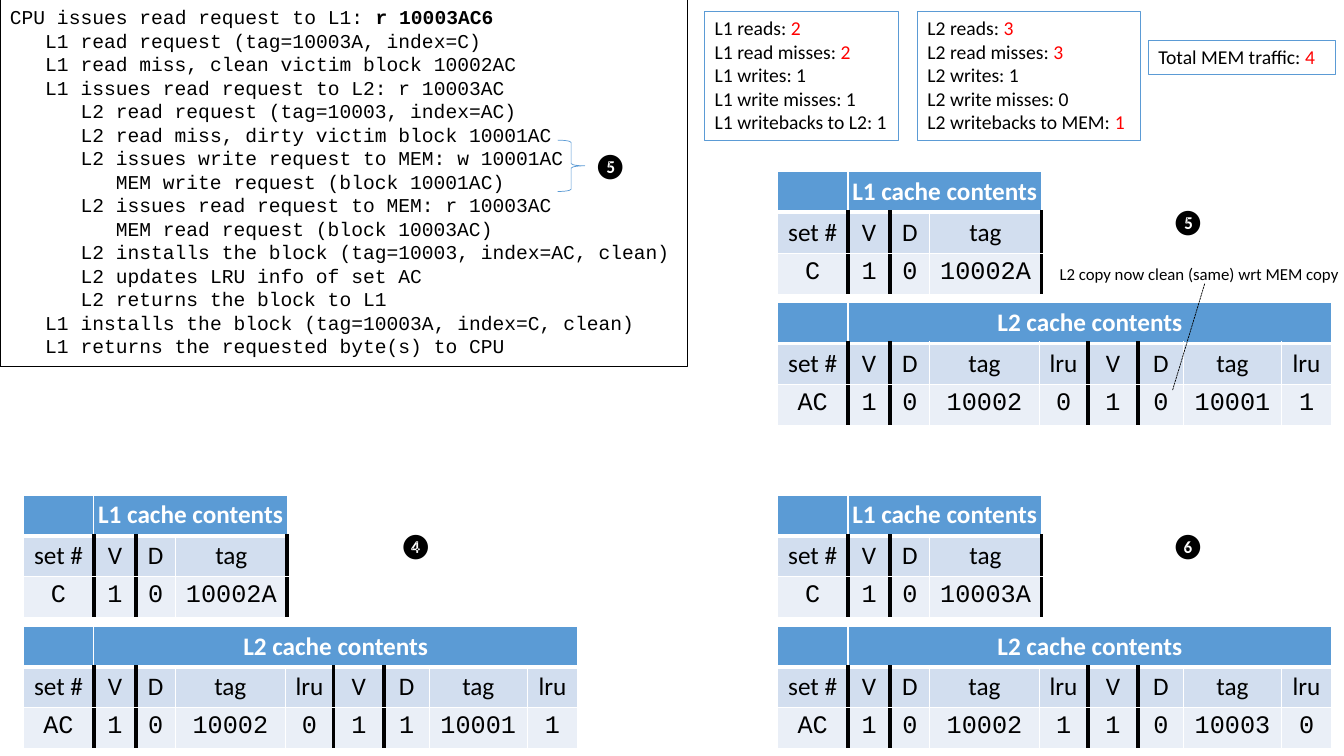
"""Build the slide tracing a read request through the L1 and L2 caches."""
from lxml import etree
from pptx import Presentation
from pptx.dml.color import RGBColor
from pptx.enum.dml import MSO_LINE
from pptx.enum.shapes import MSO_CONNECTOR, MSO_SHAPE
from pptx.enum.text import MSO_AUTO_SIZE, PP_ALIGN
from pptx.oxml.ns import qn
from pptx.util import Inches, Pt

STRAIGHT = MSO_CONNECTOR.STRAIGHT
RIGHT_BRACE = MSO_SHAPE.RIGHT_BRACE
CENTER = PP_ALIGN.CENTER
SHORT_DASH = MSO_LINE.SQUARE_DOT
GROW = MSO_AUTO_SIZE.SHAPE_TO_FIT_TEXT

SANS, MONO = "Calibri", "Courier New"
BLACK, WHITE, RED, BLUE = "000000", "FFFFFF", "FF0000", "5B9BD5"
ROW_FILLS = (BLUE, "D2DEEF", "EAEFF7")

TRACE = [
    (0, "CPU issues read request to L1: ", "r 10003AC6"),
    (1, "L1 read request (tag=10003A, index=C)"),
    (1, "L1 read miss, clean victim block 10002AC"),
    (1, "L1 issues read request to L2: r 10003AC"),
    (2, "L2 read request (tag=10003, index=AC)"),
    (2, "L2 read miss, dirty victim block 10001AC"),
    (2, "L2 issues write request to MEM: w 10001AC"),
    (3, "MEM write request (block 10001AC)"),
    (2, "L2 issues read request to MEM: r 10003AC"),
    (3, "MEM read request (block 10003AC)"),
    (2, "L2 installs the block (tag=10003, index=AC, clean)"),
    (2, "L2 updates LRU info of set AC"),
    (2, "L2 returns the block to L1"),
    (1, "L1 installs the block (tag=10003A, index=C, clean)"),
    (1, "L1 returns the requested byte(s) to CPU"),
]
COUNTERS = [
    ((6.99, 0.11, 1.92, 1.28), False, [
        (0, "L1 reads: ", "2"), (0, "L1 read misses: ", "2"), (0, "L1 writes: 1"),
        (0, "L1 write misses: 1"), (0, "L1 writebacks to L2: 1")]),
    ((9.1, 0.11, 2.21, 1.28), True, [
        (0, "L2 reads: ", "3"), (0, "L2 read misses: ", "3"), (0, "L2 writes: 1"),
        (0, "L2 write misses: 0"), (0, "L2 writebacks to MEM: ", "1")]),
    ((11.39, 0.4, 1.86, 0.34), False, [(0, "Total MEM traffic: ", "4")]),
]
L1_HEADINGS = ["set #", "V", "D", "tag"]
L2_HEADINGS = ["set #", "V", "D", "tag", "lru", "V", "D", "tag", "lru"]
L1_WIDTHS = [0.7, 0.42, 0.39, 1.11]
L2_WIDTHS = [0.7, 0.42, 0.39, 1.09, 0.48, 0.5, 0.45, 0.97, 0.5]
STATES = [
    (0.23, 4.91, ["C", "1", "0", "10002A"],
     ["AC", "1", "0", "10002", "0", "1", "1", "10001", "1"]),
    (7.71, 1.7, ["C", "1", "0", "10002A"],
     ["AC", "1", "0", "10002", "0", "1", "0", "10001", "1"]),
    (7.71, 4.91, ["C", "1", "0", "10003A"],
     ["AC", "1", "0", "10002", "1", "1", "0", "10003", "0"]),
]
STEP_BADGES = [("❹", 3.86, 5.21), ("❺", 11.52, 2), ("❻", 11.52, 5.21), ("❺", 5.79, 1.44)]
NOTE = "L2 copy now clean (same) wrt MEM copy"
TABLE_HEIGHT, L2_OFFSET, INDENT = 1.22, 1.3, 0.35


def color(value):
    return RGBColor.from_string(value)


def format_run(run, font_name, size, run_color=BLACK, bold=False):
    run.font.name = font_name
    run.font.size = Pt(size)
    run.font.bold = bold
    run.font.color.rgb = color(run_color)


def add_text(slide, box, lines, font_name, size, line_color=None, wrap=False,
             accent_color=BLACK, accent_bold=False):
    shape = slide.shapes.add_textbox(*map(Inches, box))
    frame = shape.text_frame
    frame.word_wrap = wrap
    frame.auto_size = GROW
    if line_color:
        shape.line.color.rgb = color(line_color)
        shape.line.width = Pt(0.75)
    for number, (level, text, *accents) in enumerate(lines):
        paragraph = frame.add_paragraph() if number else frame.paragraphs[0]
        paragraph.text = text
        format_run(paragraph.runs[0], font_name, size)
        if level:
            paragraph._p.get_or_add_pPr().set("marL", str(Inches(INDENT * level)))
        for accent in accents:
            run = paragraph.add_run()
            run.text = accent
            format_run(run, font_name, size, accent_color, accent_bold)


def set_borders(cell, borders):
    properties = cell._tc.get_or_add_tcPr()
    for side in "LRTB":
        border_color, width = borders.get(side, (WHITE, 1))
        line = etree.SubElement(properties, qn(f"a:ln{side}"), w=str(Pt(width)))
        fill = etree.SubElement(line, qn("a:solidFill"))
        etree.SubElement(fill, qn("a:srgbClr"), val=border_color)


def cell_borders(headings, row, column):
    if row == 0:
        return {"B": (WHITE, 3)}
    thick = (BLACK, 3)
    following = headings[column + 1:column + 2]
    borders = {}
    if headings[column] == "V":
        borders = {"L": thick, "R": thick}
    elif following == ["V"] or headings[column:] == ["tag"]:
        borders = {"R": thick}
    return borders


def add_cache(slide, left, top, title, headings, widths, values):
    frame = slide.shapes.add_table(3, len(widths), Inches(left), Inches(top),
                                   Inches(sum(widths)), Inches(TABLE_HEIGHT))
    table = frame.table
    table.first_row = table.horz_banding = False
    for column, width in zip(table.columns, widths):
        column.width = Inches(width)
    title_row = ["", title] + [""] * (len(widths) - 2)
    for row, texts in enumerate((title_row, headings, values)):
        for column, text in enumerate(texts):
            cell = table.cell(row, column)
            set_borders(cell, cell_borders(headings, row, column))
            cell.fill.solid()
            cell.fill.fore_color.rgb = color(ROW_FILLS[row])
            if text:
                cell.text_frame.text = text
                paragraph = cell.text_frame.paragraphs[0]
                paragraph.alignment = CENTER
                format_run(paragraph.runs[0], MONO if row == 2 else SANS, 18,
                           BLACK if row else WHITE, row == 0)
    title_cell = table.cell(0, 1)
    title_cell.margin_left = title_cell.margin_right = 0
    title_cell.merge(table.cell(0, len(widths) - 1))


def main():
    presentation = Presentation()
    presentation.slide_width, presentation.slide_height = Inches(13.33), Inches(7.5)
    slide = presentation.slides.add_slide(presentation.slide_layouts[6])

    add_text(slide, (0, 0, 6.82, 3.64), TRACE, MONO, 14, BLACK, True, accent_bold=True)
    for left, top, l1_values, l2_values in STATES:
        add_cache(slide, left, top + L2_OFFSET, "L2 cache contents",
                  L2_HEADINGS, L2_WIDTHS, l2_values)
        add_cache(slide, left, top, "L1 cache contents", L1_HEADINGS, L1_WIDTHS, l1_values)
    for box, wrap, lines in COUNTERS:
        add_text(slide, box, lines, SANS, 14, BLUE, wrap, RED)

    pointer = slide.shapes.add_connector(
        STRAIGHT, Inches(11.63), Inches(3.87), Inches(11.95), Inches(2.81))
    pointer.line.color.rgb = color(BLACK)
    pointer.line.width = Pt(0.5)
    pointer.line.dash_style = SHORT_DASH
    etree.SubElement(pointer._element.spPr, qn("a:effectLst"))
    add_text(slide, (10.41, 2.57, 3.01, 0.3), [(0, NOTE)], SANS, 12)

    brace = slide.shapes.add_shape(
        RIGHT_BRACE, Inches(5.53), Inches(1.39), Inches(0.27), Inches(0.51))
    brace.shadow.inherit = False
    brace.fill.background()
    brace.line.color.rgb = color(BLUE)
    brace.line.width = Pt(0.5)
    for badge, left, top in STEP_BADGES:
        add_text(slide, (left, top, 0.54, 0.4), [(0, badge)], SANS, 18)

    presentation.save("out.pptx")


if __name__ == "__main__":
    main()
